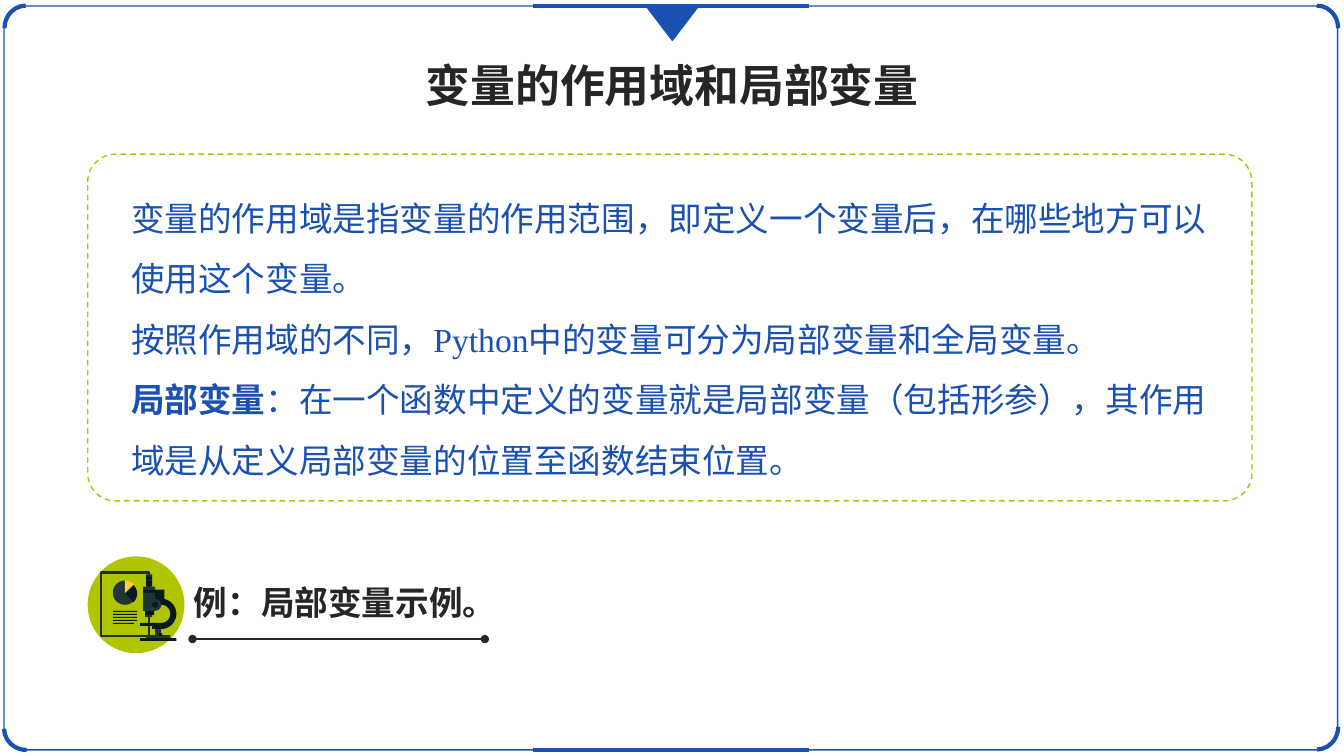
import math
from dataclasses import dataclass

import pptx
import pptx.dml.color
import pptx.enum.dml
import pptx.enum.lang
import pptx.enum.shapes
import pptx.enum.text
import pptx.oxml
import pptx.oxml.ns
import pptx.util

SHAPE = pptx.enum.shapes.MSO_SHAPE
ALIGN = pptx.enum.text.PP_ALIGN
DASH = pptx.enum.dml.MSO_LINE.DASH


@dataclass(frozen=True)
class Theme:
    blue: str = "1950B2"
    ink: str = "262626"
    green: str = "B1C400"
    sheet: str = "222A35"
    slate: str = "213538"
    night: str = "08191E"
    yellow: str = "FFCE35"
    heading_font: str = "Noto Sans CJK SC"
    body_font: str = "Times New Roman"
    title_size: int = 32
    text_size: int = 24
    thin: float = 1
    medium: float = 1.5
    thick: float = 3


@dataclass(frozen=True)
class Grid:
    """Square cells, in inches, counted from a left and top origin."""
    left: float
    top: float
    cell: float

    def point(self, column, row):
        return (pptx.util.Inches(self.left + column * self.cell),
                pptx.util.Inches(self.top + row * self.cell))

    def box(self, column, row, columns, rows):
        return (*self.point(column, row), pptx.util.Inches(columns * self.cell),
                pptx.util.Inches(rows * self.cell))


THEME = Theme()
PAGE = Grid(0, 0, 0.1)
EMBLEM = Grid(0.87, 5.52, 0.03)

BODY = [
    [("变量的作用域是指变量的作用范围，即定义一个变量后，在哪些地方可以使用这个变量。", False)],
    [("按照作用域的不同，Python中的变量可分为局部变量和全局变量。", False)],
    [("局部变量", True),
     ("：在一个函数中定义的变量就是局部变量（包括形参），其作用域是从定义局部变量的位置至函数结束位置。", False)],
]


def rgb(color):
    return pptx.dml.color.RGBColor.from_string(color)


def drawing_element(tag, **attributes):
    element = pptx.oxml.parse_xml(f'<a:{tag} {pptx.oxml.ns.nsdecls("a")}/>')
    for name, value in attributes.items():
        element.set(name, value)
    return element


def stroke(line, color, width):
    line.color.rgb = rgb(color)
    line.width = pptx.util.Pt(width)


def paint(shape, fill=None, line=None, width=THEME.thin):
    shape.shadow.inherit = False
    if fill:
        shape.fill.solid()
        shape.fill.fore_color.rgb = rgb(fill)
    else:
        shape.fill.background()
    if line:
        stroke(shape.line, line, width)
    else:
        shape.line.fill.background()
    return shape


def add_preset(slide, preset, box, **look):
    return paint(slide.shapes.add_shape(preset, *box), **look)


def add_line(slide, start, end, color, width, dotted_ends=False):
    rule = slide.shapes.add_connector(
        pptx.enum.shapes.MSO_CONNECTOR.STRAIGHT, *PAGE.point(*start), *PAGE.point(*end))
    stroke(rule.line, color, width)
    properties = rule._element.spPr
    if dotted_ends:
        for tag in ("headEnd", "tailEnd"):
            properties.get_or_add_ln().append(drawing_element(tag, type="oval"))
    properties.append(drawing_element("effectLst"))


def add_outline(slide, cells, color):
    points = [EMBLEM.point(*cell) for cell in cells]
    builder = slide.shapes.build_freeform(*points[0])
    builder.add_line_segments(points[1:], close=True)
    paint(builder.convert_to_shape(), fill=color)


def arc_cells(center, radius, start, end, steps=24):
    """Points along an arc, with degrees counted clockwise from the right."""
    angles = [math.radians(start + (end - start) * i / steps) for i in range(steps + 1)]
    return [(center[0] + radius * math.cos(a), center[1] + radius * math.sin(a))
            for a in angles]


def write(holder, box, paragraphs, format_values, color, align, spacing=1.0, wrap=False):
    """Place a text holder and fill it with paragraphs of (text, bold) runs."""
    holder.left, holder.top, holder.width, holder.height = box
    frame = holder.text_frame
    frame.word_wrap = wrap
    frame.auto_size = pptx.enum.text.MSO_AUTO_SIZE.NONE
    for index, runs in enumerate(paragraphs):
        paragraph = frame.add_paragraph() if index else frame.paragraphs[0]
        properties = paragraph._p.get_or_add_pPr()
        properties.set("marL", "0")
        properties.set("indent", "0")
        properties.append(drawing_element("buNone"))
        paragraph.alignment = align
        paragraph.line_spacing = spacing
        paragraph.space_before = pptx.util.Pt(0)
        for text, bold in runs:
            run = paragraph.add_run()
            run.text = text
            for name, value in {**format_values, "bold": bold}.items():
                setattr(run.font, name, value)
            run.font.color.rgb = rgb(color)
            latin = run._r.get_or_add_rPr().find(pptx.oxml.ns.qn("a:latin"))
            latin.addnext(drawing_element("ea", typeface=THEME.heading_font))


def type_style(font, size):
    return {"name": font, "size": pptx.util.Pt(size),
            "language_id": pptx.enum.lang.MSO_LANGUAGE_ID.SIMPLIFIED_CHINESE}


def draw_frame(slide):
    border = add_preset(slide, SHAPE.ROUNDED_RECTANGLE, PAGE.box(0.4, 0.6, 132.3, 73.8),
                        line=THEME.blue)
    border.adjustments[0] = 0.03
    corners = [(0.3, 0.7, 270, ()), (0.4, 70.2, 180, ()),
               (128.4, 0.7, 90, ("flipH",)), (128.4, 70, 270, ("flipH", "flipV"))]
    for column, row, rotation, flips in corners:
        corner = add_preset(slide, SHAPE.ARC, PAGE.box(column, row, 4.5, 4.2),
                            line=THEME.blue, width=THEME.thick)
        corner.rotation = rotation
        for flip in flips:
            corner._element.spPr.xfrm.set(flip, "1")
    for row in (0.6, 74.4):
        add_line(slide, (52.9, row), (80.3, row), THEME.blue, THEME.thick)
    pointer = add_preset(slide, SHAPE.ISOSCELES_TRIANGLE, PAGE.box(64.1, 0.6, 5.2, 3.4),
                         fill=THEME.blue, line=THEME.blue)
    pointer.rotation = 180


def draw_parts(slide, parts):
    for preset, color, *cells in parts:
        add_preset(slide, preset, EMBLEM.box(*cells), fill=color)


def draw_report(slide):
    add_preset(slide, SHAPE.OVAL, EMBLEM.box(0, 0, 32, 32), fill=THEME.green)
    add_preset(slide, SHAPE.RECTANGLE, EMBLEM.box(4.33, 5.33, 16, 21),
               line=THEME.sheet, width=THEME.medium)
    for row, start, end, color in [(12, 45, 270, THEME.slate), (12, 270, 315, THEME.yellow),
                                   (12.33, -45, 45, THEME.night)]:
        hub = (12.33, row)
        add_outline(slide, [hub] + arc_cells(hub, 4, start, end), color)
    draw_parts(slide, [(SHAPE.RECTANGLE, THEME.night, 8.33, 18 + i, 7 if i == 4 else 8, 0.33)
                       for i in range(5)])


def draw_microscope(slide):
    bar, disc, slate, night = SHAPE.RECTANGLE, SHAPE.OVAL, THEME.slate, THEME.night
    draw_parts(slide, [
        (bar, slate, 19.33, 26, 8, 2), (bar, night, 21.33, 11, 4, 5),
        (bar, slate, 22.33, 23, 2, 3), (bar, slate, 19, 16, 2.33, 4),
        (bar, night, 19, 17.67, 3, 1.67), (bar, slate, 18.33, 10, 4, 8),
        (bar, night, 19.33, 6, 2, 4), (disc, slate, 20.33, 14, 4, 4),
        (bar, night, 17.33, 22, 5, 1)])
    hub = (24.33, 19)
    add_outline(slide, arc_cells(hub, 5, -90, 90) + [(21.33, 24), (21.33, 22)]
                + arc_cells(hub, 3, 90, -90), night)
    draw_parts(slide, [
        (disc, night, 21.33, 15, 2, 2), (bar, night, 17.33, 27, 12, 1),
        (disc, night, 23.67, 25.33, 1, 1), (bar, slate, 19.33, 7.67, 2, 0.33)])
    draw_parts(slide, [(bar, slate, 19.33 + 0.42 * i, 6, 0.33, 0.67) for i in range(5)])
    draw_parts(slide, [(bar, night, 18.33, 11, 4, 1), (bar, slate, 19.67, 19.67, 1.33, 0.33)])


def main():
    deck = pptx.Presentation()
    deck.slide_width, deck.slide_height = PAGE.point(133.33, 75)
    slide = deck.slides.add_slide(deck.slide_layouts[1])
    title, definition = slide.placeholders

    draw_frame(slide)
    write(title, PAGE.box(41, 5.2, 51.4, 6.4), [[("变量的作用域和局部变量", True)]],
          type_style(THEME.heading_font, THEME.title_size), THEME.ink, ALIGN.CENTER)
    example_box = PAGE.box(18.1, 57.2, 32.3, 5)
    write(slide.shapes.add_textbox(*example_box), example_box, [[("例：局部变量示例。", True)]],
          type_style(THEME.heading_font, THEME.text_size), THEME.ink, ALIGN.CENTER)
    add_line(slide, (19.1, 63.4), (48.1, 63.4), THEME.ink, THEME.medium, dotted_ends=True)
    draw_report(slide)
    draw_microscope(slide)
    panel = add_preset(slide, SHAPE.ROUNDED_RECTANGLE, PAGE.box(8.7, 15.3, 115.5, 34.4),
                       line=THEME.green)
    panel.adjustments[0] = 0.08
    panel.line.dash_style = DASH
    write(definition, PAGE.box(12, 17.1, 109.1, 30.6), BODY,
          type_style(THEME.body_font, THEME.text_size), THEME.blue, ALIGN.LEFT,
          spacing=1.5, wrap=True)
    deck.save("out.pptx")


if __name__ == "__main__":
    main()
